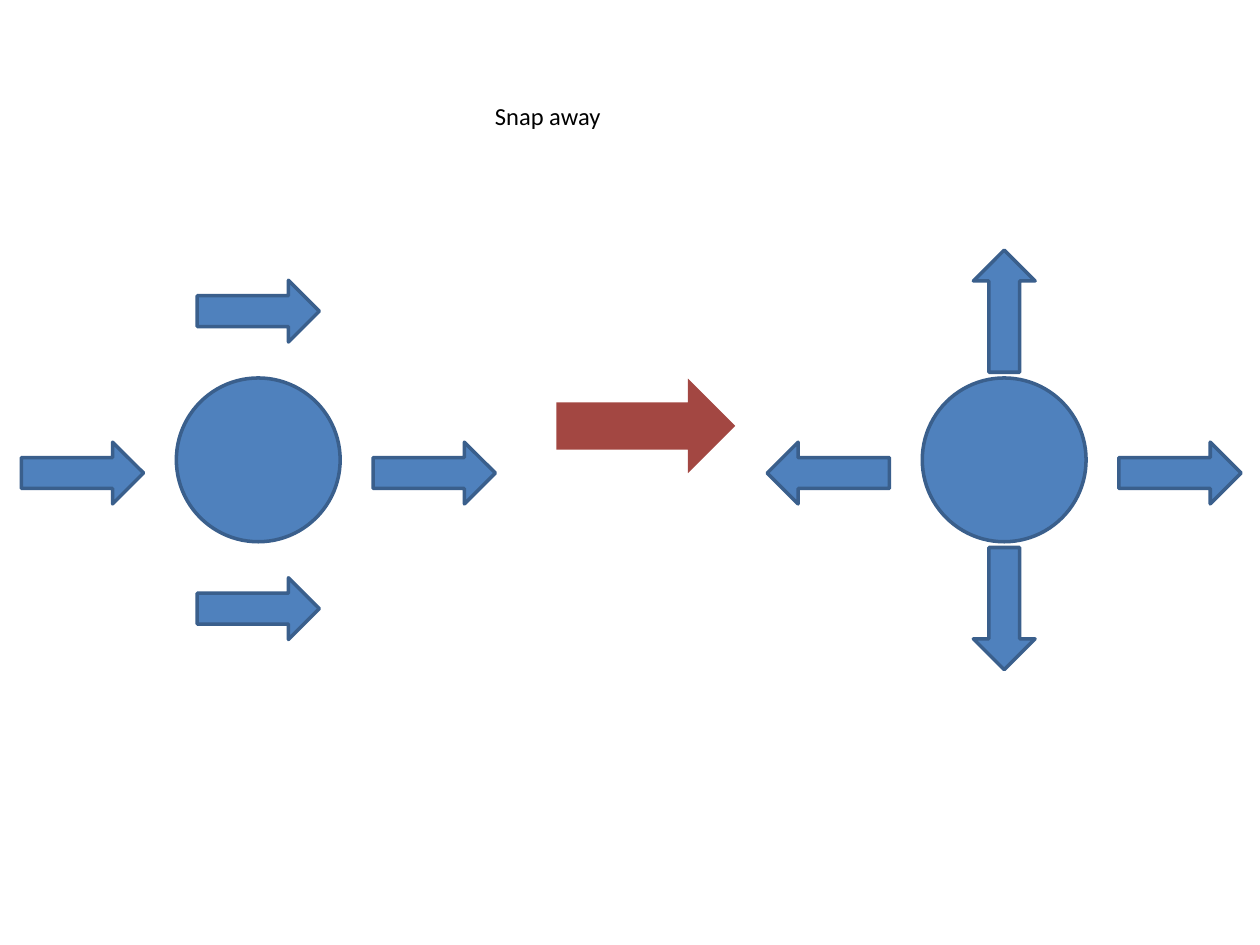
"""Build a slide showing arrows around a circle snapping away from it."""
from dataclasses import dataclass

from pptx import Presentation
from pptx.dml.color import RGBColor
from pptx.enum.shapes import MSO_SHAPE
from pptx.enum.text import MSO_AUTO_SIZE
from pptx.util import Pt


@dataclass(frozen=True)
class Theme:
    """Colours and type for the slide."""

    blue: str = "4F81BD"
    outline: str = "3A5F8C"
    red: str = "A34742"
    ink: str = "000000"
    font: str = "Calibri"
    text_size: float = 14
    line_width: float = 2


THEME = Theme()
CIRCLE_SIZE = (93.6, 93.6)
ARROW_SIZE = (69.84, 35.28)
CHANGE_ARROW_SIZE = (54, 102.24)
CIRCLE_Y = 262.8
ARROW_OFFSETS = ((0, -85), (100.5, 7.5), (0, 85), (-100.5, 7.5))


def add_centred_shape(page, kind, centre, size, fill, line=None, rotation=0):
    """Add a flat preset shape around its centre point."""
    (x, y), (width, height) = centre, size
    shape = page.shapes.add_shape(
        kind, Pt(x - width / 2), Pt(y - height / 2), Pt(width), Pt(height)
    )
    shape.rotation = rotation
    shape.shadow.inherit = False
    shape.fill.solid()
    shape.fill.fore_color.rgb = RGBColor.from_string(fill)
    if line:
        shape.line.color.rgb = RGBColor.from_string(line)
        shape.line.width = Pt(THEME.line_width)
    else:
        shape.line.fill.background()
    return shape


def add_circle_with_arrows(page, centre_x, rotations):
    """Add a circle with arrows above, right, below and left of it."""
    colours = {"fill": THEME.blue, "line": THEME.outline}
    add_centred_shape(page, MSO_SHAPE.OVAL, (centre_x, CIRCLE_Y), CIRCLE_SIZE, **colours)
    for (shift_x, shift_y), rotation in zip(ARROW_OFFSETS, rotations):
        centre = (centre_x + shift_x, CIRCLE_Y + shift_y)
        add_centred_shape(
            page, MSO_SHAPE.RIGHT_ARROW, centre, ARROW_SIZE, rotation=rotation, **colours
        )


def add_text(page, text, left, top, width, height, *, size, colour, font):
    """Add a wrapped text box that grows with its text."""
    box = page.shapes.add_textbox(Pt(left), Pt(top), Pt(width), Pt(height))
    box.text_frame.word_wrap = True
    box.text_frame.auto_size = MSO_AUTO_SIZE.SHAPE_TO_FIT_TEXT
    span = box.text_frame.paragraphs[0].add_run()
    span.text = text
    span.font.name = font
    span.font.size = Pt(size)
    span.font.color.rgb = RGBColor.from_string(colour)
    return box


def main():
    """Build and save the deck."""
    deck = Presentation()
    deck.slide_width, deck.slide_height = Pt(720), Pt(540)
    page = deck.slides.add_slide(deck.slide_layouts[6])
    add_circle_with_arrows(page, 147.6, (0, 0, 0, 0))
    add_centred_shape(
        page, MSO_SHAPE.DOWN_ARROW, (369, 243.36), CHANGE_ARROW_SIZE, THEME.red, rotation=270
    )
    add_circle_with_arrows(page, 573.84, (270, 0, 90, 180))
    add_text(
        page, "Snap away", 275.76, 54, 165.6, 24.48,
        size=THEME.text_size, colour=THEME.ink, font=THEME.font,
    )
    deck.save("out.pptx")


if __name__ == "__main__":
    main()
